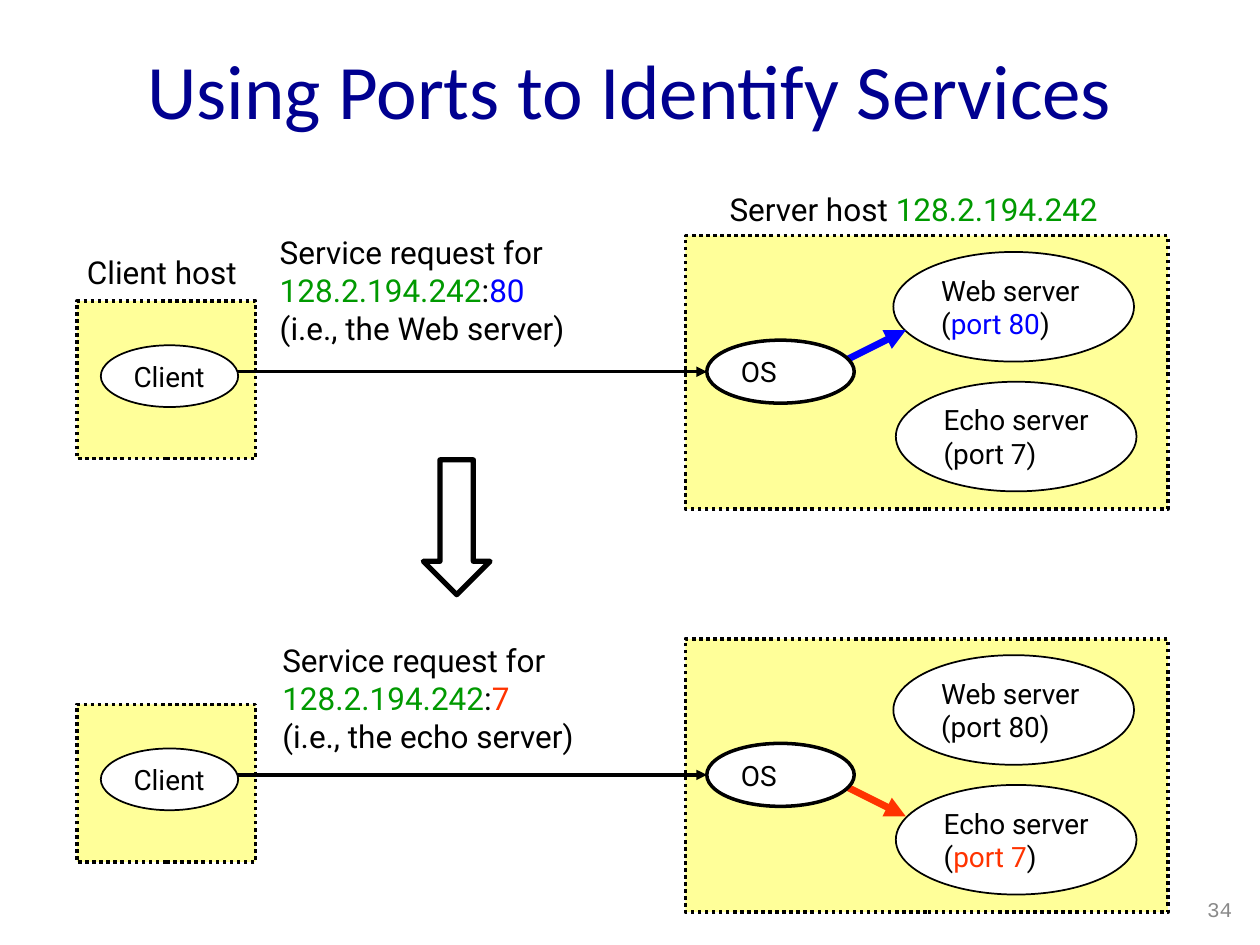
from lxml import etree
from pptx import Presentation
from pptx import util as u
from pptx.dml.color import RGBColor
from pptx.enum import dml, shapes, text
from pptx.oxml import ns

Inches, Pt = u.Inches, u.Pt
C = {"ink": "000000", "title": "000090", "box": "FFFF99", "white": "FFFFFF",
     "host": "009900", "web": "0000FF", "echo": "FF3300", "number": "898989"}
ADDRESS = ("128.2.194.242", "host")


def rgb(name):
    return RGBColor.from_string(C[name])


def write(tf, lines, size=16, font="Roboto", color="ink", align="LEFT",
          anchor="TOP", wrap=False, fit=True):
    """Fill a frame; each line is a list of strings or (string, colour) pairs."""
    tf.margin_left = tf.margin_right = tf.margin_top = tf.margin_bottom = Inches(0.05)
    tf.word_wrap = wrap
    tf.vertical_anchor = getattr(text.MSO_ANCHOR, anchor)
    tf.auto_size = getattr(text.MSO_AUTO_SIZE, "SHAPE_TO_FIT_TEXT" if fit else "NONE")
    for i, line in enumerate(lines):
        p = tf.add_paragraph() if i else tf.paragraphs[0]
        p.alignment = getattr(text.PP_ALIGN, align)
        for part in line:
            words, hue = (part, color) if isinstance(part, str) else part
            r = p.add_run()
            r.text = words
            r.font.size, r.font.name = Pt(size), font
            r.font.color.rgb = rgb(hue)


def add_label(s, x, y, w, h, lines, **fmt):
    box = s.shapes.add_textbox(Inches(x), Inches(y), Inches(w), Inches(h))
    write(box.text_frame, lines, **fmt)


def add_shape(s, kind, x, y, w, h, fill=None, width=1, dash=None):
    sp = s.shapes.add_shape(getattr(shapes.MSO_SHAPE, kind),
                            Inches(x), Inches(y), Inches(w), Inches(h))
    sp.shadow.inherit = False
    if fill:
        sp.fill.solid()
        sp.fill.fore_color.rgb = rgb(fill)
    else:
        sp.fill.background()
    sp.line.color.rgb = rgb("ink")
    sp.line.width = Pt(width)
    if dash:
        sp.line.dash_style = dash


def add_arrow(s, x1, y1, x2, y2, color="ink", width=2):
    c = s.shapes.add_connector(shapes.MSO_CONNECTOR.STRAIGHT,
                               Inches(x1), Inches(y1), Inches(x2), Inches(y2))
    c.line.color.rgb = rgb(color)
    c.line.width = Pt(width)
    etree.SubElement(c.line._get_or_add_ln(), ns.qn("a:tailEnd"), type="triangle")
    etree.SubElement(c._element.spPr, ns.qn("a:effectLst"))


def add_node(s, x, y, w, h, lines, label, width=1):
    """An ellipse with a label, given as (inset, width, height), centred in height."""
    add_shape(s, "OVAL", x, y, w, h, fill="white", width=width)
    dx, tw, th = label
    add_label(s, x + dx, y + (h - th) / 2, tw, th, lines, anchor="MIDDLE")


def add_host(s, x, y, w, h):
    add_shape(s, "RECTANGLE", x, y, w, h, fill="box", width=2,
              dash=dml.MSO_LINE.ROUND_DOT)


def add_client(s, x, y):
    add_node(s, x + 0.19, y + 0.35, 1.09, 0.49, [["Client"]], (0.21, 0.68, 0.36))


def add_server(s, x, y, target):
    """Two services, the arrow to the chosen one, and the OS."""
    services = [("web", "Web server", "port 80", 1.65, 0.13, 1.25),
                ("echo", "Echo server", "port 7", 1.67, 1.16, 1.3)]
    for key, name, port, dx, dy, tw in services:
        hue = key if key == target else "ink"
        add_node(s, x + dx, y + dy, 1.91, 0.87,
                 [[name], ["(", (port, hue), ")"]], (0.33, tw, 0.63))
    y1, y2 = (1.0, 0.75) if target == "web" else (1.16, 1.41)
    add_arrow(s, x + 1.25, y + y1, x + 1.75, y + y2, color=target, width=4)
    add_node(s, x + 0.17, y + 0.83, 1.17, 0.5, [["OS"]], (0.22, 0.43, 0.36), width=2)


def add_exchange(s, y, target, port, note, request_box):
    """One row: client host, request and server host, with the row's top at y."""
    client, server = (0.61, y + 0.52), (5.44, y)
    add_host(s, *client, 1.42, 1.25)
    add_host(s, *server, 3.83, 2.17)
    add_arrow(s, 1.86, y + 1.08, 5.61, y + 1.08)
    add_client(s, *client)
    add_server(s, *server, target)
    add_label(s, *request_box,
              [["Service request for"], [ADDRESS, ":", (port, target)], [note]],
              size=18)


def add_title(s, x, y, w, h, words):
    t = s.shapes.title
    t.left, t.top, t.width, t.height = map(Inches, (x, y, w, h))
    write(t.text_frame, [[words]], size=44, font="Calibri", color="title",
          align="CENTER", anchor="MIDDLE", wrap=True, fit=False)


def main():
    prs = Presentation()
    prs.slide_width, prs.slide_height = Inches(10), Inches(7.5)
    s = prs.slides.add_slide(prs.slide_layouts[5])
    add_title(s, 0.5, 0.08, 9, 1.25, "Using Ports to Identify Services")

    # Requests to the two services
    add_exchange(s, 1.87, "web", "80", "(i.e., the Web server)", (2.17, 1.8, 3.11, 1.02))
    add_exchange(s, 5.07, "echo", "7", "(i.e., the echo server)", (2.19, 5.04, 2.48, 1.02))

    # Host captions and the step between the rows
    add_label(s, 0.64, 1.96, 1.3, 0.41, [["Client host"]], size=18)
    add_label(s, 5.74, 1.46, 3.06, 0.41, [["Server host ", ADDRESS]], size=18)
    add_shape(s, "DOWN_ARROW", 3.36, 3.65, 0.53, 1.07, width=3)

    # Slide number
    add_label(s, 9.52, 7.07, 0.31, 0.29, [["34"]], size=12, font="Courier New",
              color="number", align="RIGHT", anchor="MIDDLE")
    prs.save("out.pptx")


if __name__ == "__main__":
    main()
